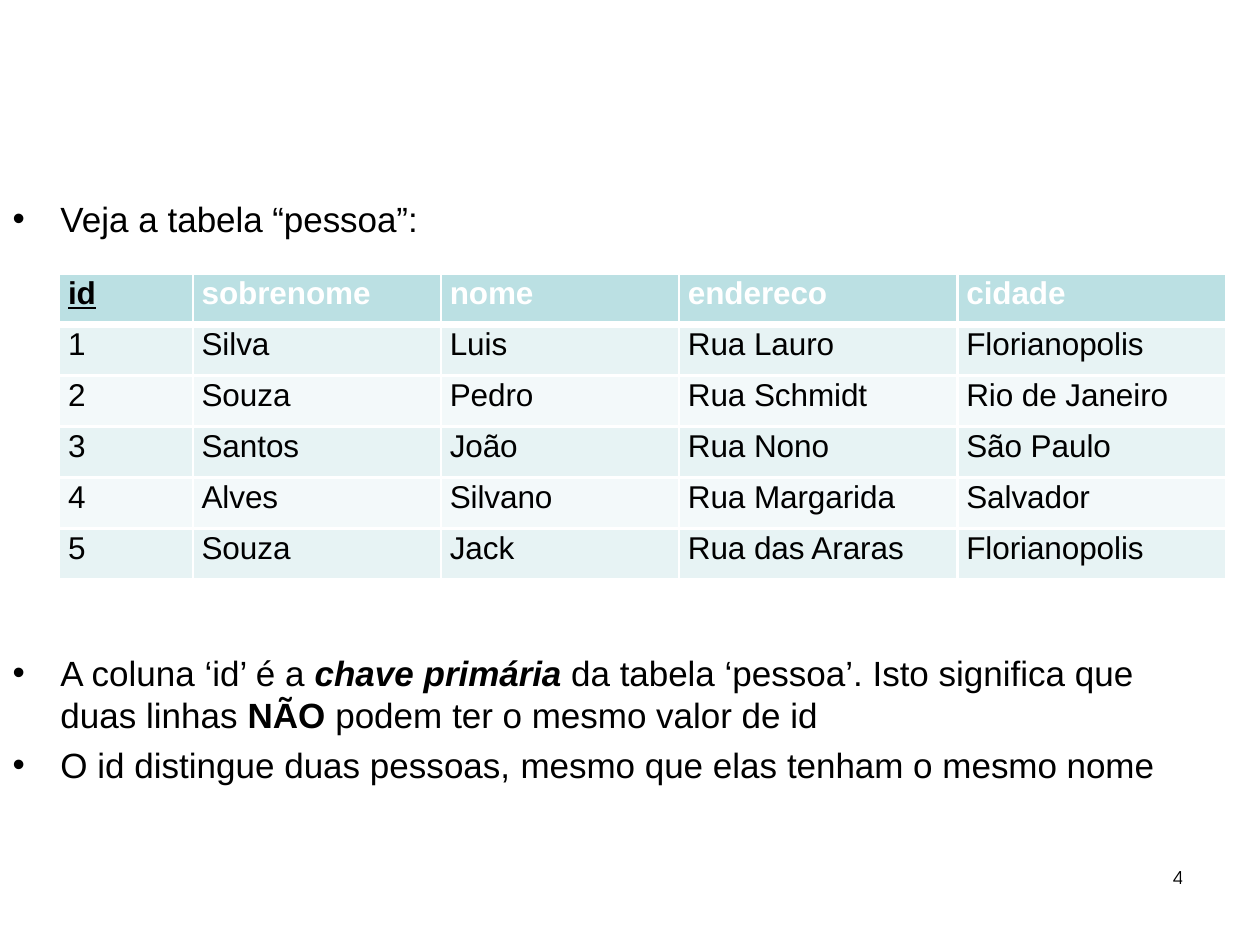
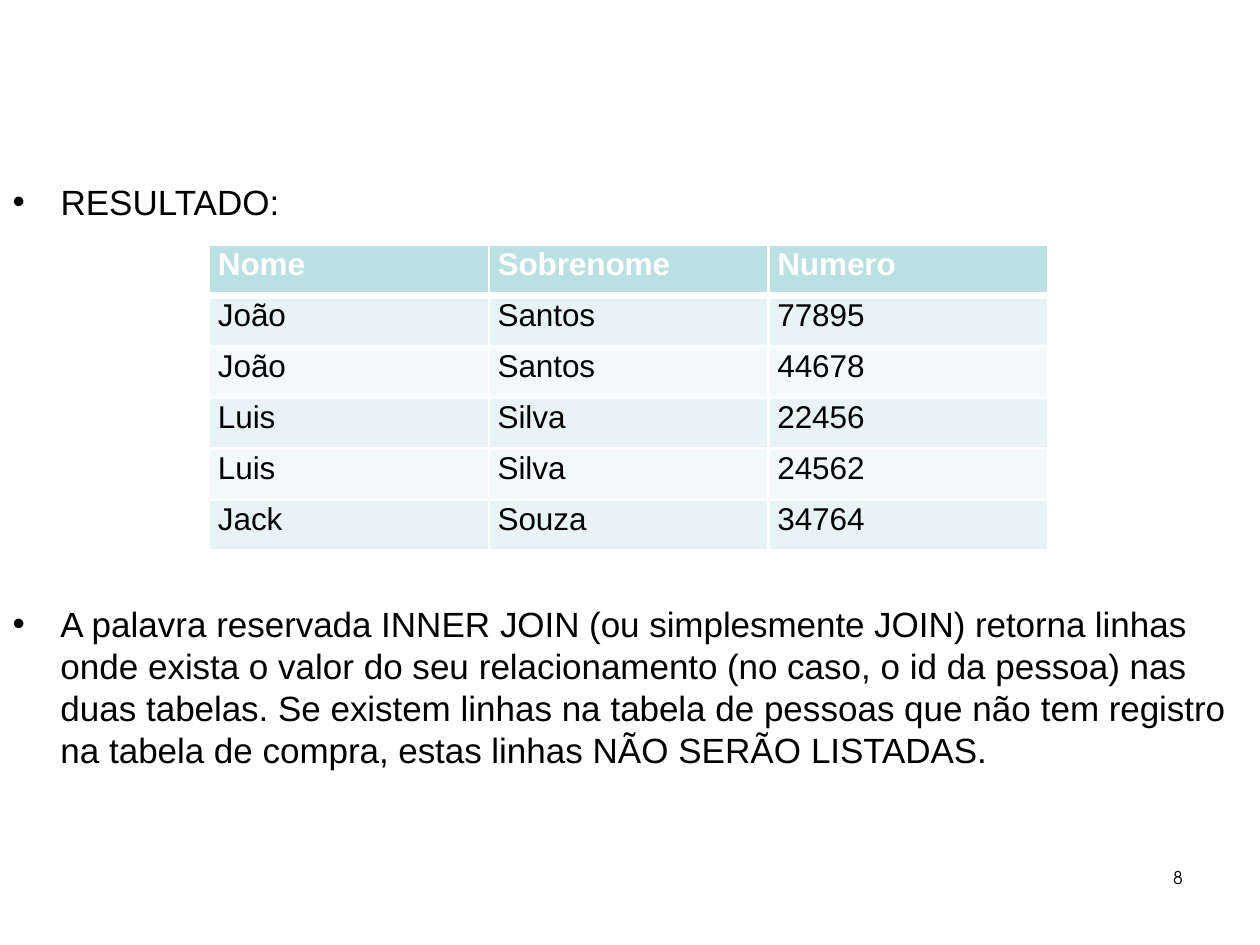
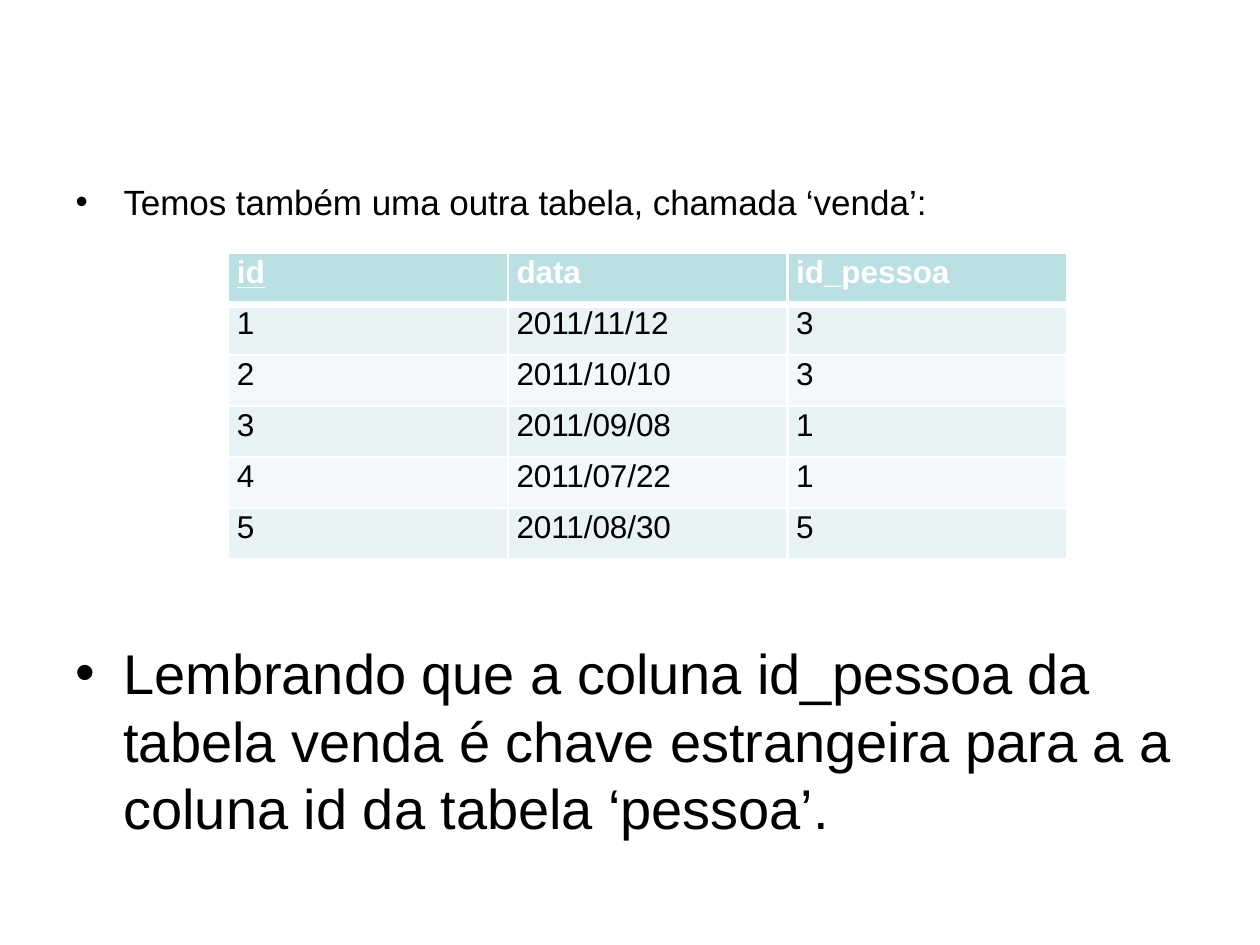
from lxml.etree import SubElement
from pptx import Presentation
from pptx.dml.color import RGBColor
from pptx.enum.text import MSO_AUTO_SIZE as AutoSize
from pptx.oxml.ns import qn
from pptx.util import Inches, Pt

FONT, NUMBER_FONT = "Arial", "TeX Gyre Adventor"
BLACK, WHITE = "000000", "FFFFFF"
HEADER, BANDS = "BBE0E3", ("E7F3F4", "F3F9FA")
TIGHT = -5
ROW_HEIGHT = 0.405
THIN, THICK = 1.5, 4.25

PEOPLE = [
    ("id", "sobrenome", "nome", "endereco", "cidade"),
    ("1", "Silva", "Luis", "Rua Lauro", "Florianopolis"),
    ("2", "Souza", "Pedro", "Rua Schmidt", "Rio de Janeiro"),
    ("3", "Santos", "João", "Rua Nono", "São Paulo"),
    ("4", "Alves", "Silvano", "Rua Margarida", "Salvador"),
    ("5", "Souza", "Jack", "Rua das Araras", "Florianopolis"),
]
JOIN_RESULT = [
    ("Nome", "Sobrenome", "Numero"),
    ("João", "Santos", "77895"),
    ("João", "Santos", "44678"),
    ("Luis", "Silva", "22456"),
    ("Luis", "Silva", "24562"),
    ("Jack", "Souza", "34764"),
]
SALES = [
    ("id", "data", "id_pessoa"),
    ("1", "2011/11/12", "3"),
    ("2", "2011/10/10", "3"),
    ("3", "2011/09/08", "1"),
    ("4", "2011/07/22", "1"),
    ("5", "2011/08/30", "5"),
]


def rgb(value):
    """Turn a hex string into a colour."""
    return RGBColor.from_string(value)


def add_run(p, text, size, flags="", color=BLACK, font=FONT, spacing=0):
    """Add a run; flags are b bold, i italic, u underlined, t tight."""
    r = p.add_run()
    r.text = text
    r.font.name, r.font.size = font, Pt(size)
    r.font.bold, r.font.italic = "b" in flags, "i" in flags
    r.font.underline = "u" in flags
    r.font.color.rgb = rgb(color)
    spacing = TIGHT if "t" in flags else spacing
    if spacing:
        r._r.get_or_add_rPr().set("spc", str(spacing))


def add_box(s, left, top, width, height):
    """Add a wrapping text box without side margins."""
    tf = s.shapes.add_textbox(*map(Inches, (left, top, width, height))).text_frame
    tf.word_wrap = True
    tf.auto_size = AutoSize.SHAPE_TO_FIT_TEXT
    tf.margin_left = tf.margin_right = tf.margin_bottom = 0
    tf.margin_top = Inches(0.02)
    return tf


def set_indent(p, left, first=0):
    """Set the left margin and first-line indent of a paragraph."""
    pPr = p._p.get_or_add_pPr()
    pPr.set("marL", str(Inches(left)))
    pPr.set("indent", str(Inches(first)))
    return pPr


def add_bullets(s, box, paragraphs, size=20):
    """Add a box of bulleted paragraphs, each a list of (text, flags) runs."""
    tf = add_box(s, *box)
    for i, runs in enumerate(paragraphs):
        p = tf.add_paragraph() if i else tf.paragraphs[0]
        pPr = set_indent(p, 0.39, -0.38)
        SubElement(pPr, qn("a:buFont"), typeface=FONT)
        SubElement(pPr, qn("a:buChar"), char="•")
        if i:
            p.space_before = Pt(4.7)
        for text, flags in runs:
            add_run(p, text, size, flags)


def add_page_number(s, number):
    """Add the page number at the lower right."""
    p = add_box(s, 9.3, 6.86, 0.11, 0.19).paragraphs[0]
    set_indent(p, 0.01)
    add_run(p, number, 10, font=NUMBER_FONT, spacing=60)


def set_borders(cell, top, bottom):
    """Draw white borders around a cell."""
    tcPr = cell._tc.get_or_add_tcPr()
    for side, width in (("L", THIN), ("R", THIN), ("T", top), ("B", bottom)):
        ln = SubElement(tcPr, qn(f"a:ln{side}"), w=str(Pt(width)))
        SubElement(SubElement(ln, qn("a:solidFill")), qn("a:srgbClr"), val=WHITE)


def add_grid(s, left, top, widths, rows, key_color=WHITE):
    """Add a banded table whose id heading is underlined as the key."""
    shape = s.shapes.add_table(len(rows), len(widths), Inches(left), Inches(top),
                               Inches(sum(widths)), Inches(ROW_HEIGHT * len(rows)))
    table = shape.table
    table.first_row = table.horz_banding = False
    for column, width in zip(table.columns, widths):
        column.width = Inches(width)
    for i, row in enumerate(rows):
        table.rows[i].height = Inches(ROW_HEIGHT)
        for j, text in enumerate(row):
            cell = table.cell(i, j)
            cell.margin_left = cell.margin_right = 0
            cell.margin_top = cell.margin_bottom = 0
            set_borders(cell, THICK if i == 1 else THIN, THIN if i else THICK)
            cell.fill.solid()
            cell.fill.fore_color.rgb = rgb(BANDS[(i - 1) % 2] if i else HEADER)
            p = cell.text_frame.paragraphs[0]
            set_indent(p, 0.07)
            p.line_spacing = Pt(21.4)
            is_key = i == 0 and text == "id"
            flags = "t" if i else "tbu" if is_key else "tb"
            color = BLACK if i else key_color if is_key else WHITE
            add_run(p, text, 18, flags, color)


def people_slide(s):
    """Show the table of people and its primary key."""
    add_bullets(s, (0.09, 1.55, 3.26, 0.36),
                [[("Veja a ", ""), ("tabela “pessoa”:", "t")]])
    add_grid(s, 0.47, 2.17, (1.06, 1.97, 1.89, 2.21, 2.13), PEOPLE, BLACK)
    add_bullets(s, (0.09, 5.15, 9.07, 1.09), [
        [("A coluna ‘id’ é a ", ""), ("chave ", "bi"), ("primária ", "bit"),
         ("da ", ""), ("tabela ", "t"), ("‘pessoa’. ", ""), ("Isto ", "t"),
         ("significa que duas linhas ", ""), ("NÃO ", "b"), ("podem ", ""),
         ("ter ", "t"), ("o ", ""), ("mesmo ", "t"), ("valor de id", "")],
        [("O id distingue duas pessoas, ", ""), ("mesmo ", "t"),
         ("que elas ", ""), ("tenham ", "t"), ("o ", ""), ("mesmo nome", "t")],
    ])
    add_page_number(s, "4")


def join_slide(s):
    """Show the result of the join."""
    add_bullets(s, (0.09, 1.41, 2.18, 0.36), [[("RESULTADO:", "")]])
    add_grid(s, 1.66, 1.94, (2.22,) * 3, JOIN_RESULT)
    add_bullets(s, (0.09, 4.76, 9.64, 1.36), [
        [("A palavra ", ""), ("reservada ", "t"), ("INNER ", ""),
         ("JOIN (ou simplesmente JOIN) retorna ", "t"), ("linhas onde ", ""),
         ("exista ", "t"), ("o valor do seu ", ""), ("relacionamento (no ", "t"),
         ("caso, o id da pessoa) nas duas ", ""), ("tabelas. ", "t"), ("Se ", ""),
         ("existem ", "t"), ("linhas na ", ""), ("tabela ", "t"),
         ("de pessoas que não ", ""), ("tem registro ", "t"), ("na ", ""),
         ("tabela ", "t"), ("de ", ""), ("compra, estas ", "t"),
         ("linhas NÃO SERÃO ", ""), ("LISTADAS.", "t")],
    ])
    add_page_number(s, "8")


def sales_slide(s):
    """Show the table of sales and its foreign key."""
    add_bullets(s, (0.59, 1.41, 6.82, 0.36),
                [[("Temos também uma outra tabela, chamada ", "t"), ("‘venda’:", "")]])
    add_grid(s, 1.81, 2.01, (2.22,) * 3, SALES)
    add_bullets(s, (0.59, 5.05, 8.71, 1.63), [
        [("Lembrando que ", "t"), ("a ", ""), ("coluna id_pessoa da tabela venda ", "t"),
         ("é ", ""), ("chave estrangeira para ", "t"), ("a a ", ""),
         ("coluna ", "t"), ("id ", ""), ("da tabela ‘pessoa’.", "t")],
    ], size=32)


def main():
    """Build the three slides and save them."""
    prs = Presentation()
    prs.slide_width, prs.slide_height = Inches(10), Inches(7.5)
    for build in (people_slide, join_slide, sales_slide):
        build(prs.slides.add_slide(prs.slide_layouts[6]))
    prs.save("out.pptx")


if __name__ == "__main__":
    main()
